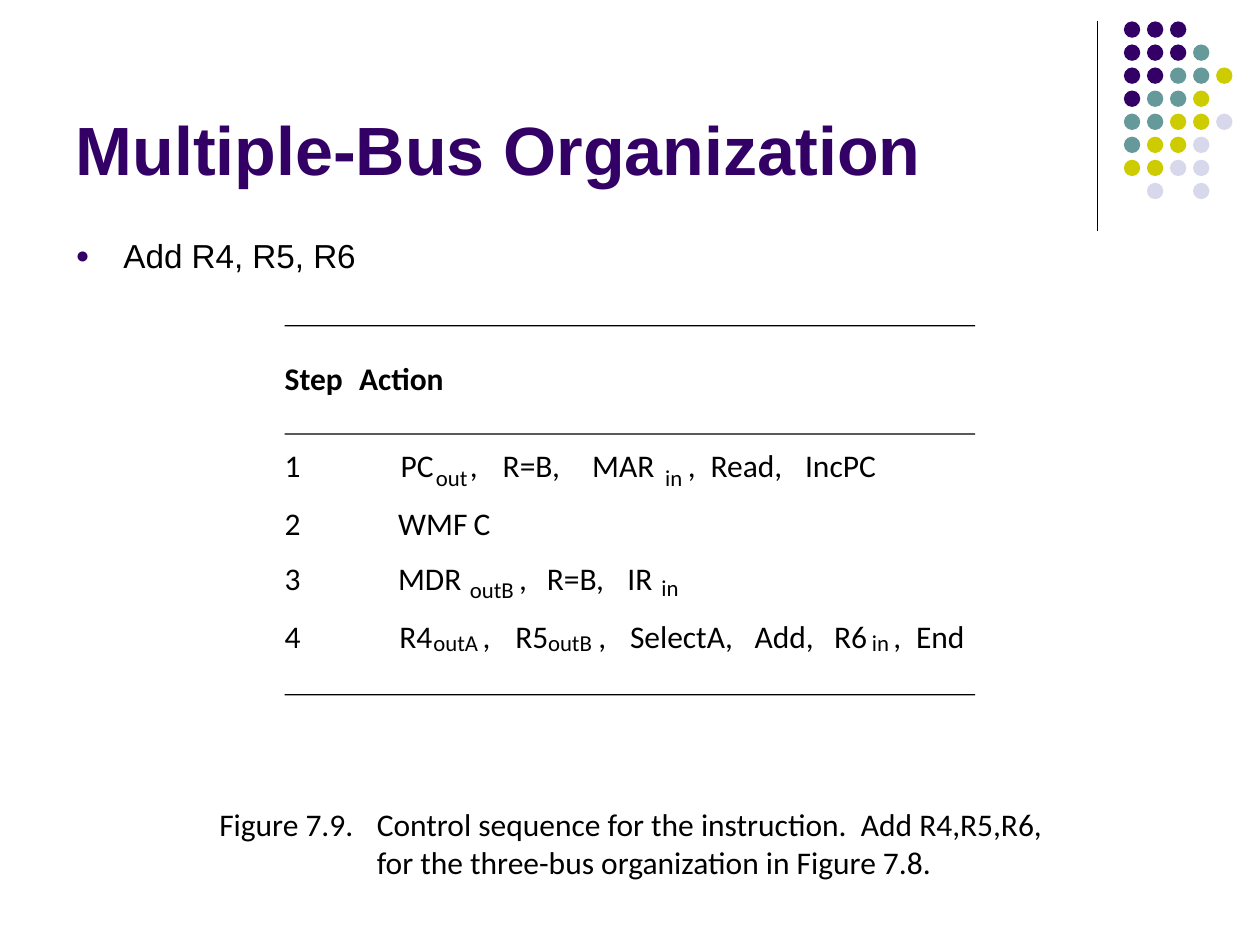
import lxml.etree
import pptx
import pptx.dml.color
import pptx.enum.shapes
import pptx.enum.text
import pptx.oxml.ns
import pptx.util

Inches = pptx.util.Inches
Pt = pptx.util.Pt
qn = pptx.oxml.ns.qn
SHAPES = pptx.enum.shapes.MSO_SHAPE
ALIGN_LEFT = pptx.enum.text.PP_ALIGN.LEFT

COLORS = {
    "ink": "000000",
    "purple": "330066",
    "teal": "669999",
    "lime": "CCCC00",
    "mist": "D8D8EC",
}
FORMATS = {
    "title": {"name": "Arial", "size": Pt(39), "bold": True},
    "bullet": {"name": "Arial", "size": Pt(19), "bold": False},
    "header": {"name": "Calibri", "size": Pt(18), "bold": True},
    "entry": {"name": "Calibri", "size": Pt(18), "bold": False},
    "subscript": {"name": "Calibri", "size": Pt(13), "bold": False},
}
DOT_KEYS = {"P": "purple", "T": "teal", "L": "lime", "M": "mist"}
DOT_ROWS = ["PPP", "PPPT", "PPTTL", "PTTL", "TTLLM", "TLLM", "LLMM", " M M"]

RULES = [0, 0.86, 2.93]
HEADER = (0.27, [(0, "Step", 0.55), (0.59, "Action", 0.81)])
STEPS = [
    (0.96, [(0, "1", 0.14), (0.92, "PC", 0.31), (1.2, "out", 0.29, 0.14), (1.47, ",", 0.07),
            (1.73, "R=B,", 0.53), (2.44, "MAR", 0.54), (3.02, "in", 0.16, 0.14),
            (3.2, ",", 0.07), (3.38, "Read,", 0.66), (4.13, "IncPC", 0.67)]),
    (1.42, [(0, "2", 0.14), (0.9, "WMF", 0.59), (1.5, "C", 0.16)]),
    (1.86, [(0, "3", 0.14), (0.9, "MDR", 0.57), (1.47, "outB", 0.4, 0.13), (1.86, ",", 0.07),
            (2.08, "R=B,", 0.53), (2.72, "IR", 0.24), (2.99, "in", 0.16, 0.11)]),
    (2.32, [(0, "4", 0.14), (0.91, "R4", 0.3), (1.18, "outA", 0.4, 0.09), (1.57, ",", 0.07),
            (1.83, "R5", 0.3), (2.09, "outB", 0.4, 0.09), (2.49, ",", 0.07),
            (2.74, "SelectA,", 0.92), (3.73, "Add,", 0.54), (4.36, "R6", 0.3),
            (4.66, "in", 0.16, 0.09), (4.83, ",", 0.07), (5.01, "End", 0.45)]),
]
CAPTION = [
    "Figure 7.9.\tControl sequence for the instruction.  Add R4,R5,R6,",
    "\tfor the three-bus organization in Figure 7.8.",
]


def rgb(key):
    return pptx.dml.color.RGBColor.from_string(COLORS[key])


def write(paragraph, text, style, color="ink"):
    run = paragraph.add_run()
    run.text = text
    for attribute, value in FORMATS[style].items():
        setattr(run.font, attribute, value)
    run.font.color.rgb = rgb(color)
    paragraph.alignment = ALIGN_LEFT


def place(placeholder, left, top, width, height):
    bounds = {"left": left, "top": top, "width": width, "height": height}
    for attribute, value in bounds.items():
        setattr(placeholder, attribute, Inches(value))
    placeholder.text_frame.auto_size = pptx.enum.text.MSO_AUTO_SIZE.NONE


def add_filled(shapes, kind, left, top, width, height, color):
    filled = shapes.add_shape(kind, Inches(left), Inches(top), Inches(width), Inches(height))
    filled.shadow.inherit = False
    filled.fill.solid()
    filled.fill.fore_color.rgb = rgb(color)
    filled.line.fill.background()


def add_label(slide, left, top, width, height):
    frame = slide.shapes.add_textbox(
        Inches(left), Inches(top), Inches(width), Inches(height)).text_frame
    layout = {
        "margin_left": 0, "margin_top": 0, "margin_right": 0, "margin_bottom": 0,
        "word_wrap": False,
        "auto_size": pptx.enum.text.MSO_AUTO_SIZE.SHAPE_TO_FIT_TEXT,
    }
    for attribute, value in layout.items():
        setattr(frame, attribute, value)
    return frame


def add_ornament(slide, left, top, height):
    divider = slide.shapes.add_connector(
        pptx.enum.shapes.MSO_CONNECTOR.STRAIGHT,
        Inches(left), Inches(top), Inches(left), Inches(top + height))
    divider.line.color.rgb = rgb("ink")
    divider.line.width = Pt(0.75)
    lxml.etree.SubElement(divider.element.spPr, qn("a:effectLst"))
    dots = slide.shapes.add_group_shape().shapes
    pitch = 0.183
    for row, keys in enumerate(DOT_ROWS):
        for column, key in enumerate(keys):
            if key in DOT_KEYS:
                add_filled(dots, SHAPES.OVAL, left + 0.21 + column * pitch,
                           top + row * pitch, 0.13, 0.13, DOT_KEYS[key])


def add_title(slide, left, top, width, height):
    title = slide.shapes.title
    place(title, left, top, width, height)
    title.text_frame.vertical_anchor = pptx.enum.text.MSO_ANCHOR.BOTTOM
    write(title.text_frame.paragraphs[0], "Multiple-Bus Organization", "title", "purple")


def add_instruction(slide, left, top, width, height):
    body = slide.placeholders[1]
    place(body, left, top, width, height)
    instruction = body.text_frame.paragraphs[0]
    write(instruction, "Add R4, R5, R6", "bullet")
    instruction.line_spacing = 0.8
    instruction.space_before = Pt(4.8)
    properties = instruction._p.get_or_add_pPr()
    properties.set("marL", str(Inches(0.38)))
    properties.set("indent", str(-Inches(0.38)))
    tint = lxml.etree.SubElement(properties, qn("a:buClr"))
    lxml.etree.SubElement(tint, qn("a:srgbClr"), val=COLORS["purple"])
    lxml.etree.SubElement(properties, qn("a:buSzPct"), val="70000")
    lxml.etree.SubElement(properties, qn("a:buFont"), typeface="Arial")
    lxml.etree.SubElement(properties, qn("a:buChar"), char="●")


def add_row(slide, left, top, tokens, style):
    for offset, text, width, *drop in tokens:
        frame = add_label(slide, left + offset, top + sum(drop), width, 0.22 if drop else 0.3)
        write(frame.paragraphs[0], text, "subscript" if drop else style)


def add_control_sequence(slide, left, top, width):
    for offset in RULES:
        add_filled(slide.shapes, SHAPES.RECTANGLE, left, top + offset, width, 0.01, "ink")
    offset, names = HEADER
    add_row(slide, left, top + offset, names, "header")
    for offset, tokens in STEPS:
        add_row(slide, left, top + offset, tokens, "entry")


def add_caption(slide, left, top, width, height):
    frame = add_label(slide, left, top, width, height)
    for index, text in enumerate(CAPTION):
        line = frame.add_paragraph() if index else frame.paragraphs[0]
        write(line, text, "entry")
        stops = lxml.etree.SubElement(line._p.get_or_add_pPr(), qn("a:tabLst"))
        lxml.etree.SubElement(stops, qn("a:tab"), pos=str(Inches(1.25)), algn="l")


def main():
    presentation = pptx.Presentation()
    presentation.slide_width = Inches(10)
    presentation.slide_height = Inches(7.5)
    slide = presentation.slides.add_slide(presentation.slide_layouts[1])
    add_ornament(slide, 8.71, 0.17, 1.66)
    add_title(slide, 0.5, 0.13, 8.25, 1.42)
    add_instruction(slide, 0.5, 1.88, 9, 0.37)
    add_control_sequence(slide, 2.26, 2.58, 5.48)
    add_caption(slide, 1.74, 6.39, 7.32, 0.6)
    presentation.save("out.pptx")


if __name__ == "__main__":
    main()
